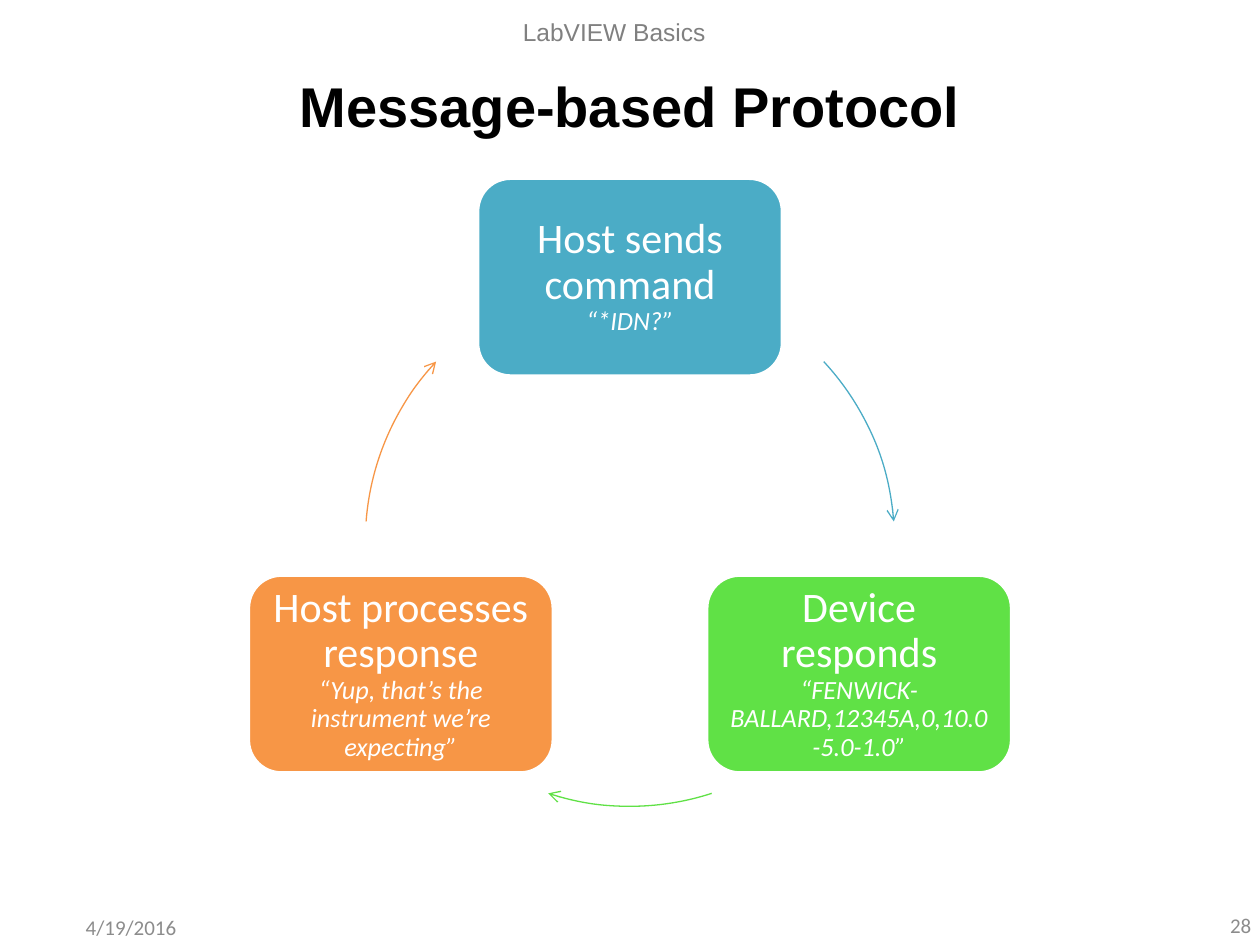
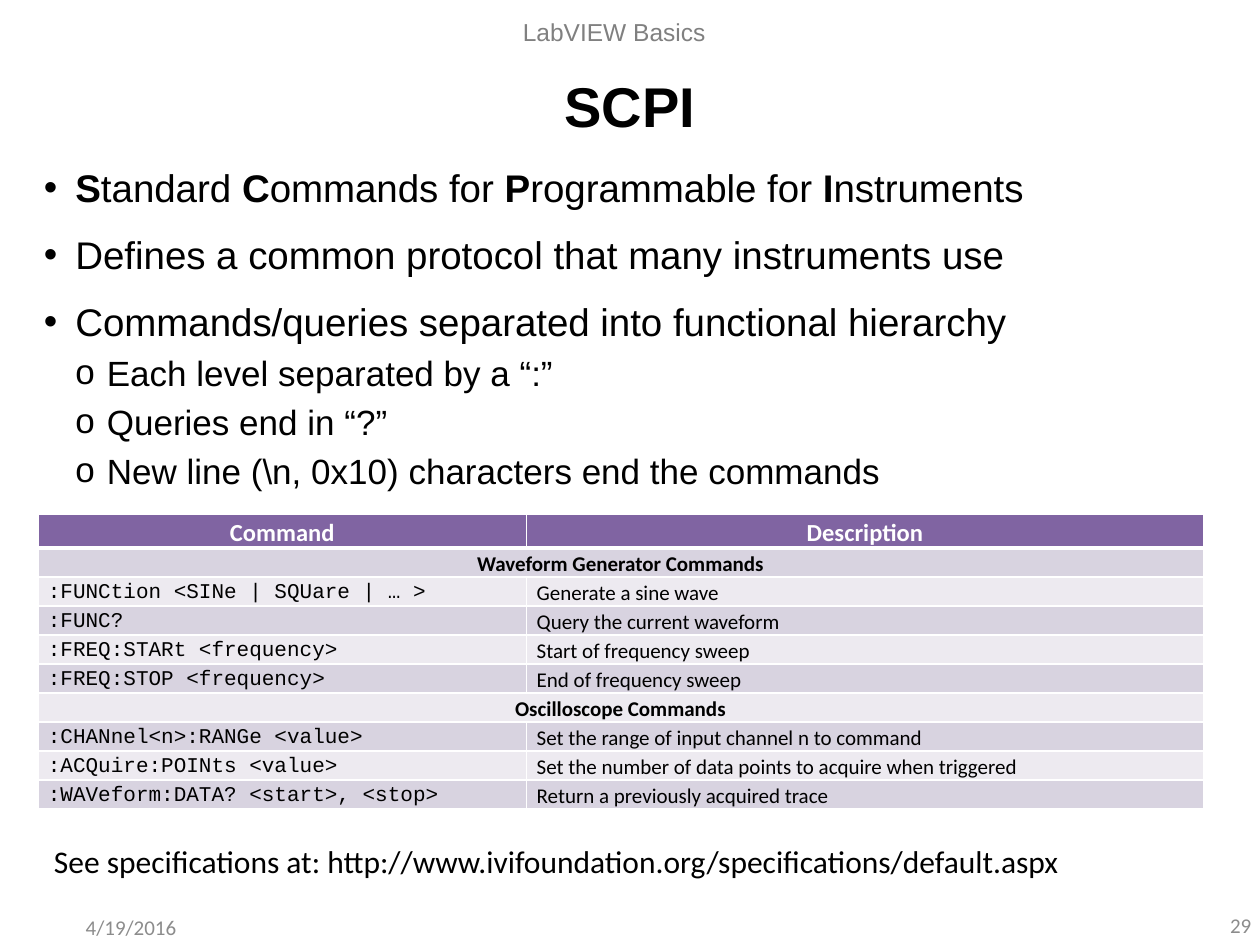
from math import cos, radians, sin

from lxml import etree
from pptx import Presentation
from pptx.dml.color import RGBColor
from pptx.enum.shapes import MSO_SHAPE
from pptx.enum.text import MSO_ANCHOR, PP_ALIGN
from pptx.oxml.ns import qn
from pptx.util import Inches, Pt

ROUNDED, ARC = MSO_SHAPE.ROUNDED_RECTANGLE, MSO_SHAPE.ARC
TOP, MIDDLE = MSO_ANCHOR.TOP, MSO_ANCHOR.MIDDLE
LEFT, CENTER, RIGHT = PP_ALIGN.LEFT, PP_ALIGN.CENTER, PP_ALIGN.RIGHT

BLACK = RGBColor(0x00, 0x00, 0x00)
WHITE = RGBColor(0xFF, 0xFF, 0xFF)
HEADER_GRAY = RGBColor(0x80, 0x80, 0x80)
FOOTER_GRAY = RGBColor(0x8C, 0x8C, 0x8C)
BLUE = RGBColor(0x4B, 0xAC, 0xC6)
GREEN = RGBColor(0x60, 0xE1, 0x46)
ORANGE = RGBColor(0xF7, 0x96, 0x46)
PURPLE = RGBColor(0x80, 0x64, 0xA2)
BANDS = [RGBColor(0xED, 0xEA, 0xF0), RGBColor(0xD8, 0xD3, 0xE0)]

SANS, BODY, CODE = "Arial", "Calibri", "Courier New"


def write(paragraph, text, size, font=BODY, color=BLACK, bold=False, italic=False, align=LEFT):
    """Append one formatted run to the paragraph."""
    paragraph.alignment = align
    run = paragraph.add_run()
    run.text = text
    run.font.size = Pt(size)
    run.font.name = font
    run.font.color.rgb = color
    run.font.bold = bold
    run.font.italic = italic


def add_frame(slide, left, top, width, height, anchor=MIDDLE, wrap=True):
    """Add a text box, measured in inches, and return its text frame."""
    box = slide.shapes.add_textbox(Inches(left), Inches(top), Inches(width), Inches(height))
    box.text_frame.word_wrap = wrap
    box.text_frame.vertical_anchor = anchor
    return box.text_frame


deck = Presentation()
deck.slide_width, deck.slide_height = Inches(10), Inches(7.5)
blank = deck.slide_layouts[6]

# Title, header and footer of every slide
slides = []
for number, title in enumerate(["Message-based Protocol", "SCPI"], start=28):
    slide = deck.slides.add_slide(blank)
    write(add_frame(slide, 0.5, 0.5, 9, 0.67).paragraphs[0], title, 32,
          font=SANS, bold=True, align=CENTER)
    write(add_frame(slide, 0.5, 7.16, 1.08, 0.4).paragraphs[0], "4/19/2016", 12,
          color=FOOTER_GRAY, align=CENTER)
    write(add_frame(slide, 3, 0.05, 3.75, 0.4).paragraphs[0], "LabVIEW Basics", 14,
          font=SANS, color=HEADER_GRAY, align=CENTER)
    write(add_frame(slide, 7.7, 7.13, 2.33, 0.42).paragraphs[0], str(number), 12,
          color=FOOTER_GRAY, align=RIGHT)
    slides.append(slide)
cycle_slide, scpi_slide = slides

# Message cycle: three steps on a circle, each followed by an arc
CENTER_X, CENTER_Y, RADIUS = 5, 4.3, 2.1
STEP_W, STEP_H = 2.42, 1.57
# step angle, arc start and arc end in degrees, clockwise from the right
steps = [
    ("Host sends command", "“*IDN?”", BLUE, -90, -42.9, -4.4),
    ("Device responds", "“FENWICK-BALLARD,12345A,0,10.0-5.0-1.0”", GREEN, 30, 72, 108),
    ("Host processes response", "“Yup, that’s the instrument we’re expecting”",
     ORANGE, 150, 184.4, 222.9),
]
for action, message, color, angle, arc_start, arc_end in steps:
    step_x = CENTER_X + RADIUS * cos(radians(angle))
    step_y = CENTER_Y + RADIUS * sin(radians(angle))
    step = cycle_slide.shapes.add_shape(
        ROUNDED, Inches(step_x - STEP_W / 2), Inches(step_y - STEP_H / 2),
        Inches(STEP_W), Inches(STEP_H))
    step.shadow.inherit = False
    step.fill.solid()
    step.fill.fore_color.rgb = color
    step.line.color.rgb = WHITE
    step.line.width = Pt(2)
    frame = step.text_frame
    frame.word_wrap = True
    frame.vertical_anchor = MIDDLE
    frame.margin_left = frame.margin_right = Inches(0.1)
    frame.margin_top = frame.margin_bottom = Inches(0.1)
    paragraph = frame.paragraphs[0]
    paragraph.line_spacing = 0.9
    write(paragraph, action, 24, color=WHITE, align=CENTER)
    paragraph.add_line_break()
    write(paragraph, message, 15, color=WHITE, italic=True, align=CENTER)

    arc = cycle_slide.shapes.add_shape(
        ARC, Inches(CENTER_X - RADIUS), Inches(CENTER_Y - RADIUS),
        Inches(2 * RADIUS), Inches(2 * RADIUS))
    # An adjustment of 0.6 turns the end of an arc by one degree
    arc.adjustments[0] = arc_start % 360 * 0.6
    arc.adjustments[1] = arc_end % 360 * 0.6
    arc.shadow.inherit = False
    arc.fill.background()
    arc.line.color.rgb = color
    arc.line.width = Pt(0.75)
    etree.SubElement(arc.line._get_or_add_ln(), qn("a:tailEnd"), type="arrow")

# SCPI bullets: level, space before, then runs that alternate bold and regular
bullets = [
    (0, 0, ["S", "tandard ", "C", "ommands for ", "P", "rogrammable for ", "I", "nstruments"]),
    (0, 12, ["", "Defines a common protocol that many instruments use"]),
    (0, 12, ["", "Commands/queries separated into functional hierarchy"]),
    (1, 4, ["", "Each level separated by a “:”"]),
    (1, 4, ["", "Queries end in “?”"]),
    (1, 4, ["", "New line (\\n, 0x10) characters end the commands"]),
]
frame = add_frame(scpi_slide, 0.25, 1.25, 9.5, 2.83, anchor=TOP)
for i, (level, gap, parts) in enumerate(bullets):
    paragraph = frame.add_paragraph() if i else frame.paragraphs[0]
    paragraph.level = level
    paragraph.space_before = Pt(gap)
    for j, part in enumerate(parts):
        if part:
            write(paragraph, part, 22 - 2 * level, font=SANS, bold=j % 2 == 0)
    properties = paragraph._p.get_or_add_pPr()
    properties.set("marL", str(Inches(0.25 * (level + 1))))
    properties.set("indent", str(Inches(-0.25)))
    etree.SubElement(properties, qn("a:buFont"), typeface=SANS)
    etree.SubElement(properties, qn("a:buChar"), char="•o"[level])

# Command table: a row with one entry is a section heading across both columns
commands = [
    ("Command", "Description"),
    ("Waveform Generator Commands",),
    (":FUNCtion <SINe | SQUare | … >", "Generate a sine wave"),
    (":FUNC?", "Query the current waveform"),
    (":FREQ:STARt <frequency>", "Start of frequency sweep"),
    (":FREQ:STOP <frequency>", "End of frequency sweep"),
    ("Oscilloscope Commands",),
    (":CHANnel<n>:RANGe <value>", "Set the range of input channel n to command"),
    (":ACQuire:POINts <value>", "Set the number of data points to acquire when triggered"),
    (":WAVeform:DATA? <start>, <stop>", "Return a previously acquired trace"),
]
HEADER_H, ROW_H = 0.27, 0.23
table = scpi_slide.shapes.add_table(
    len(commands), 2, Inches(0.3), Inches(4.08), Inches(9.25),
    Inches(HEADER_H + ROW_H * (len(commands) - 1))).table
table.first_row = table.horz_banding = False
table.columns[0].width, table.columns[1].width = Inches(3.88), Inches(5.37)
for r, entries in enumerate(commands):
    is_header, is_section = r == 0, len(entries) == 1
    table.rows[r].height = Inches(HEADER_H if is_header else ROW_H)
    if is_section:
        table.cell(r, 0).merge(table.cell(r, 1))
    for c in range(2):
        cell = table.cell(r, c)
        cell.margin_left = cell.margin_right = Inches(0.08)
        cell.margin_top = cell.margin_bottom = 0
        for side in ("L", "R", "T", "B"):
            thick = (r, side) in ((0, "B"), (1, "T"))
            border = etree.SubElement(cell._tc.get_or_add_tcPr(), qn(f"a:ln{side}"),
                                      w=str(Pt(3 if thick else 1)))
            fill = etree.SubElement(border, qn("a:solidFill"))
            etree.SubElement(fill, qn("a:srgbClr"), val=str(WHITE))
        cell.fill.solid()
        cell.fill.fore_color.rgb = PURPLE if is_header else BANDS[r % 2]
        if c < len(entries):
            heading = is_header or is_section
            paragraph = cell.text_frame.paragraphs[0]
            paragraph.line_spacing = 1.15
            write(paragraph, entries[c], 14 if is_header else 12,
                  font=CODE if c == 0 and not heading else BODY,
                  color=WHITE if is_header else BLACK,
                  bold=heading, align=CENTER if heading else LEFT)

write(add_frame(scpi_slide, 0.33, 6.63, 8.28, 0.4, anchor=TOP, wrap=False).paragraphs[0],
      "See specifications at: http://www.ivifoundation.org/specifications/default.aspx", 18)

deck.save("out.pptx")
